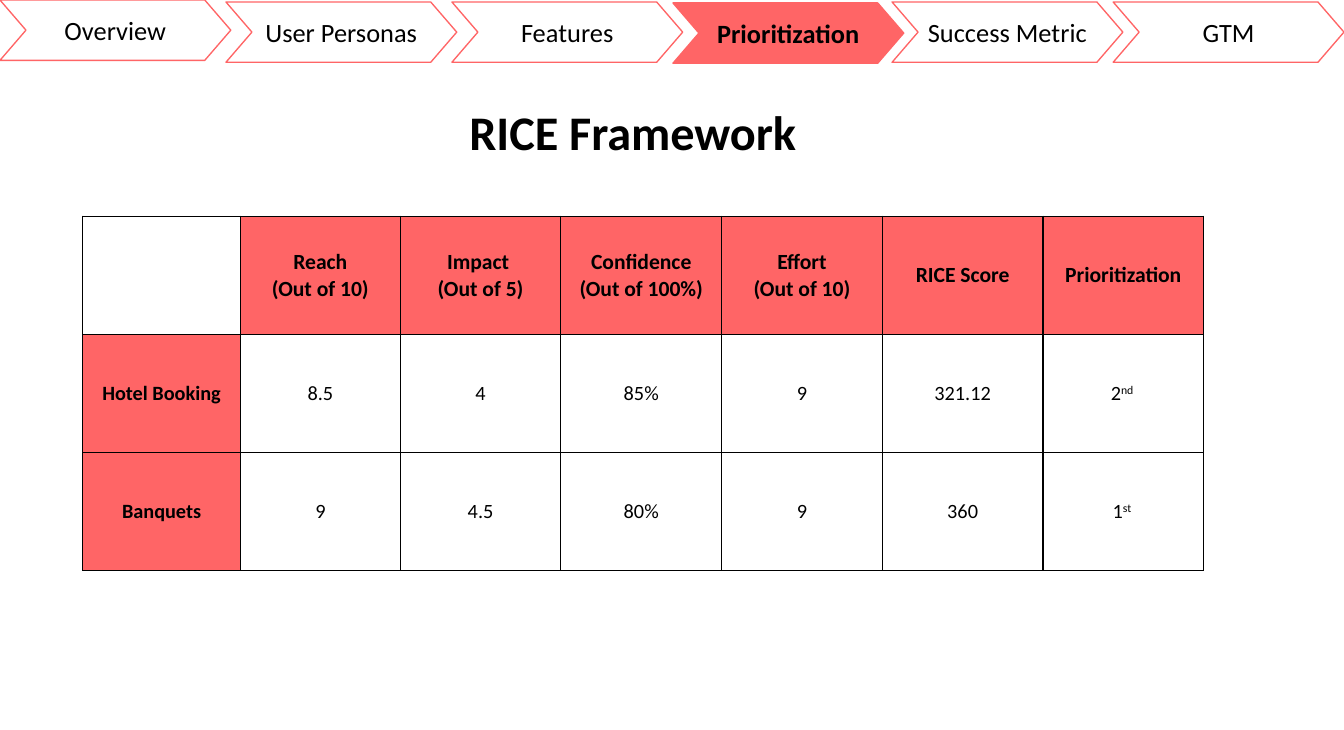
from dataclasses import dataclass

from lxml import etree
from pptx import Presentation
from pptx.dml.color import RGBColor
from pptx.enum.shapes import MSO_SHAPE
from pptx.enum.text import MSO_ANCHOR, MSO_AUTO_SIZE, PP_ALIGN
from pptx.oxml.ns import qn
from pptx.util import Emu, Inches, Pt

ARROW = MSO_SHAPE.NOTCHED_RIGHT_ARROW
CENTER, LEFT = PP_ALIGN.CENTER, PP_ALIGN.LEFT
MIDDLE, TOP = MSO_ANCHOR.MIDDLE, MSO_ANCHOR.TOP
FIT_SHAPE = MSO_AUTO_SIZE.SHAPE_TO_FIT_TEXT
TITLE_ONLY = 5


@dataclass(frozen=True)
class Theme:
    font: str = "Calibri"
    accent: RGBColor = RGBColor(0xFF, 0x65, 0x66)
    paper: RGBColor = RGBColor(0xFF, 0xFF, 0xFF)
    ink: RGBColor = RGBColor(0, 0, 0)
    title_size: float = 35.7
    step_size: float = 19.5
    header_size: float = 16
    body_size: float = 15
    line_width: float = 1


THEME = Theme()

# Label, left and top of each step, in inches from the bar's corner
STEPS = [
    ("Overview", 0, 0),
    ("User Personas", 2.32, 0.02),
    ("Features", 4.64, 0.02),
    ("Prioritization", 6.91, 0.03),
    ("Success Metric", 9.16, 0.02),
    ("GTM", 11.43, 0.02),
]
CURRENT_STEP = "Prioritization"

# A line break starts a new paragraph; a caret starts a superscript
SCORES = [
    ["", "Reach\n(Out of 10)", "Impact \n(Out of 5)", "Confidence\n(Out of 100%)",
     "Effort\n(Out of 10)", "RICE Score", "Prioritization"],
    ["Hotel Booking", "8.5", "4", "85%", "9", "321.12", "2^nd "],
    ["Banquets", "9", "4.5", "80%", "9", "360", "1^st "],
]
COLUMN_WIDTHS = [1.62, 1.64] + [1.65] * 5
ROW_HEIGHTS = [1.22, 1.21, 1.21]


def add_run(paragraph, text, size, bold=False):
    run = paragraph.add_run()
    run.text = text
    run.font.name = THEME.font
    run.font.size = Pt(size)
    run.font.bold = bold
    run.font.color.rgb = THEME.ink
    return run


def set_margins(target):
    target.margin_left = target.margin_right = Inches(0.08)
    target.margin_top = target.margin_bottom = Inches(0.04)


def add_step_bar(slide, left, top, width, height):
    """Row of arrows with the current step filled in."""
    for label, offset_x, offset_y in STEPS:
        current = label == CURRENT_STEP
        shape = slide.shapes.add_shape(
            ARROW, Inches(left + offset_x), Inches(top + offset_y),
            Inches(width), Inches(height))
        shape.shadow.inherit = False
        shape.adjustments[0] = 1
        shape.adjustments[1] = 0.431
        shape.fill.solid()
        shape.fill.fore_color.rgb = THEME.accent if current else THEME.paper
        shape.line.color.rgb = THEME.accent
        shape.line.width = Pt(THEME.line_width)
        frame = shape.text_frame
        frame.word_wrap = True
        frame.vertical_anchor = MIDDLE
        set_margins(frame)
        frame.paragraphs[0].alignment = CENTER
        add_run(frame.paragraphs[0], label, THEME.step_size, current)


def place_title(slide, text, left, top, width, height):
    title = slide.shapes.title
    title.left, title.top = Inches(left), Inches(top)
    title.width, title.height = Inches(width), Inches(height)
    frame = title.text_frame
    frame.word_wrap = True
    frame.auto_size = FIT_SHAPE
    frame.vertical_anchor = TOP
    frame.paragraphs[0].alignment = LEFT
    add_run(frame.paragraphs[0], text, THEME.title_size, True)


def add_borders(cell):
    properties = cell._tc.get_or_add_tcPr()
    for side in ("a:lnL", "a:lnR", "a:lnT", "a:lnB"):
        line = etree.SubElement(properties, qn(side), w=str(Pt(THEME.line_width)))
        fill = etree.SubElement(line, qn("a:solidFill"))
        etree.SubElement(fill, qn("a:srgbClr"), val=str(THEME.ink))


def fill_cell(cell, text, size, heading):
    add_borders(cell)
    cell.fill.solid()
    cell.fill.fore_color.rgb = THEME.accent if heading else THEME.paper
    cell.vertical_anchor = MIDDLE
    set_margins(cell)
    if not text:
        return
    frame = cell.text_frame
    for index, line in enumerate(text.split("\n")):
        paragraph = frame.add_paragraph() if index else frame.paragraphs[0]
        paragraph.alignment = CENTER
        base, _, raised = line.partition("^")
        add_run(paragraph, base, size, heading)
        if raised:
            run = add_run(paragraph, raised, size, heading)
            run.font._element.set("baseline", "30000")


def add_score_table(slide, left, top):
    """Scores with a heading row and a heading column."""
    table = slide.shapes.add_table(
        len(ROW_HEIGHTS), len(COLUMN_WIDTHS), Inches(left), Inches(top),
        Inches(sum(COLUMN_WIDTHS)), Inches(sum(ROW_HEIGHTS))).table
    table.first_row = table.horz_banding = False
    for column, width in zip(table.columns, COLUMN_WIDTHS):
        column.width = Inches(width)
    for row, height in zip(table.rows, ROW_HEIGHTS):
        row.height = Inches(height)
    for row_index, texts in enumerate(SCORES):
        size = THEME.body_size if row_index else THEME.header_size
        for column_index, text in enumerate(texts):
            heading = bool(text) and (row_index == 0 or column_index == 0)
            fill_cell(table.cell(row_index, column_index), text, size, heading)


def build_rice_slide(presentation):
    slide = presentation.slides.add_slide(presentation.slide_layouts[TITLE_ONLY])
    width = Emu(presentation.slide_width).inches
    height = Emu(presentation.slide_height).inches
    add_score_table(slide, 0.0616 * width, 0.296 * height)
    place_title(slide, "RICE Framework", 0.342 * width, 0.133 * height, 3.8, 0.7)
    add_step_bar(slide, 0, 0, 2.37, 0.62)


def main():
    presentation = Presentation()
    presentation.slide_width = Inches(13.8)
    presentation.slide_height = Inches(7.5)
    build_rice_slide(presentation)
    presentation.save("out.pptx")


if __name__ == "__main__":
    main()
